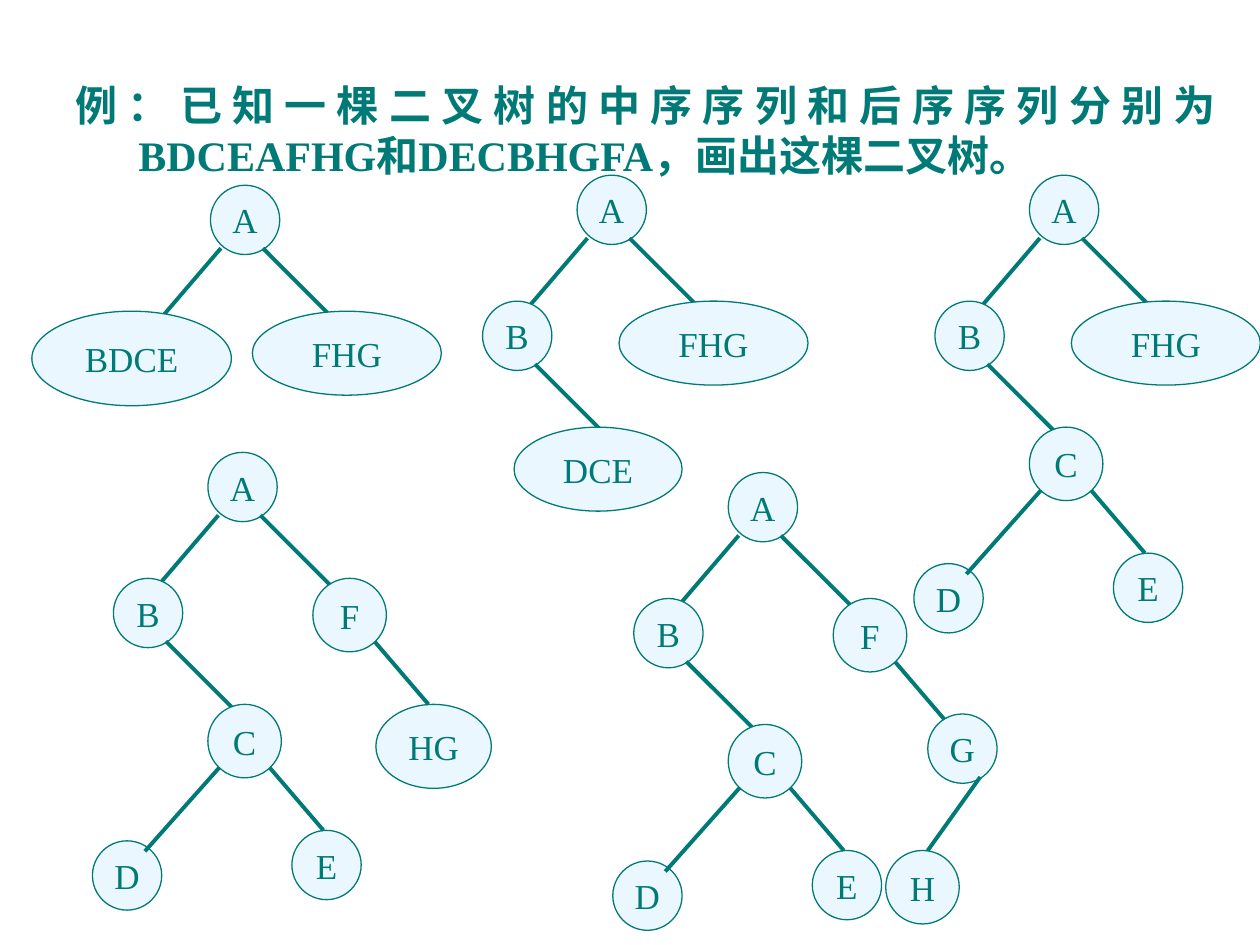
from lxml.etree import SubElement
from pptx import Presentation
from pptx.dml.color import RGBColor
from pptx.enum.shapes import MSO_CONNECTOR as Conn, MSO_SHAPE as Kind
from pptx.enum.text import MSO_ANCHOR as Anchor, PP_ALIGN as Align
from pptx.oxml.ns import qn
from pptx.util import Inches, Pt

TEAL = RGBColor(0x00, 0x7A, 0x77)
PALE = RGBColor(0xEB, 0xF7, 0xFF)
FONT = "Times New Roman"
UNIT = 1 / 12
DOT, DISC = (6.6, 6.6), (7, 7)

TITLE = ("例：已知一棵二叉树的中序序列和后序序列分别为",
         "BDCEAFHG", "和", "DECBHGFA", "，画出这棵二叉树。")

NODES = {
    "A": (0, 0, *DOT), "B": (-9, 12, *DOT), "C": (0, 24, *DISC),
    "D": (-11, 37, *DOT), "E": (8, 36, *DOT), "F": (10, 12, *DISC),
    "G": (19, 23, *DOT), "H": (15, 36, *DISC),
    "BDCE": (-17, 12, 19, 9), "FHG": (4, 12, 18, 8),
    "DCE": (-6, 24, 16, 8), "HG": (16, 24, 11, 8),
}
EDGES = {
    "A/": (1, 6, -5, 13), "A\\": (5, 6, 12, 13), "B\\": (-4, 18, 3, 25),
    "C/": (2, 29, -6, 38), "C\\": (5, 29, 11, 36),
    "F\\": (15, 17, 21, 24), "G/": (24, 29, 19, 36),
}
LEFT = ["A", "A\\", "A/", "B", "B\\"]
DEEP = LEFT + ["D", "E", "C/", "C\\", "C"]
TREES = [
    (1.67, 1.47, ["A", "A\\", "FHG", "A/", "BDCE"]),
    (4.58, 1.39, LEFT + ["FHG", "DCE"]),
    (8.17, 1.39, DEEP + ["FHG"]),
    (1.65, 3.59, DEEP + ["HG", "F\\", "F"]),
    (5.78, 3.75, DEEP + ["F\\", "F", "G", "G/", "H"]),
]


def write(para, text, size, bold=False):
    run = para.add_run()
    run.text = text
    font = run.font
    font.name, font.size, font.bold = FONT, Pt(size), bold
    font.color.rgb = TEAL


def add_node(group, name, x, y):
    dx, dy, w, h = NODES[name]
    oval = group.shapes.add_shape(
        Kind.OVAL, Inches(x + dx * UNIT), Inches(y + dy * UNIT),
        Inches(w * UNIT), Inches(h * UNIT))
    oval.shadow.inherit = False
    oval.fill.solid()
    oval.fill.fore_color.rgb = PALE
    oval.line.color.rgb = TEAL
    oval.line.width = Pt(0.75)
    frame = oval.text_frame
    frame.word_wrap = False
    frame.vertical_anchor = Anchor.MIDDLE
    para = frame.paragraphs[0]
    para.alignment = Align.CENTER
    write(para, name, 20)


def add_edge(group, name, x, y):
    x1, y1, x2, y2 = EDGES[name]
    edge = group.shapes.add_connector(
        Conn.STRAIGHT, Inches(x + x1 * UNIT), Inches(y + y1 * UNIT),
        Inches(x + x2 * UNIT), Inches(y + y2 * UNIT))
    edge.line.color.rgb = TEAL
    edge.line.width = Pt(2.25)
    SubElement(edge._element.spPr, qn("a:effectLst"))


def add_title(slide):
    box = slide.shapes.add_textbox(
        Inches(0.5), Inches(0.58), Inches(9.25), Inches(0.9))
    box.text_frame.word_wrap = True
    para = box.text_frame.paragraphs[0]
    para.alignment = Align.JUSTIFY
    props = para._p.get_or_add_pPr()
    props.set("marL", str(Inches(0.5)))
    props.set("indent", str(-Inches(0.5)))
    for text in TITLE:
        write(para, text, 24, True)


def main():
    deck = Presentation()
    deck.slide_width, deck.slide_height = Inches(10), Inches(7.5)
    slide = deck.slides.add_slide(deck.slide_layouts[6])
    add_title(slide)
    for x, y, parts in TREES:
        group = slide.shapes.add_group_shape()
        for name in parts:
            add = add_node if name in NODES else add_edge
            add(group, name, x, y)
    deck.save("out.pptx")


if __name__ == "__main__":
    main()
